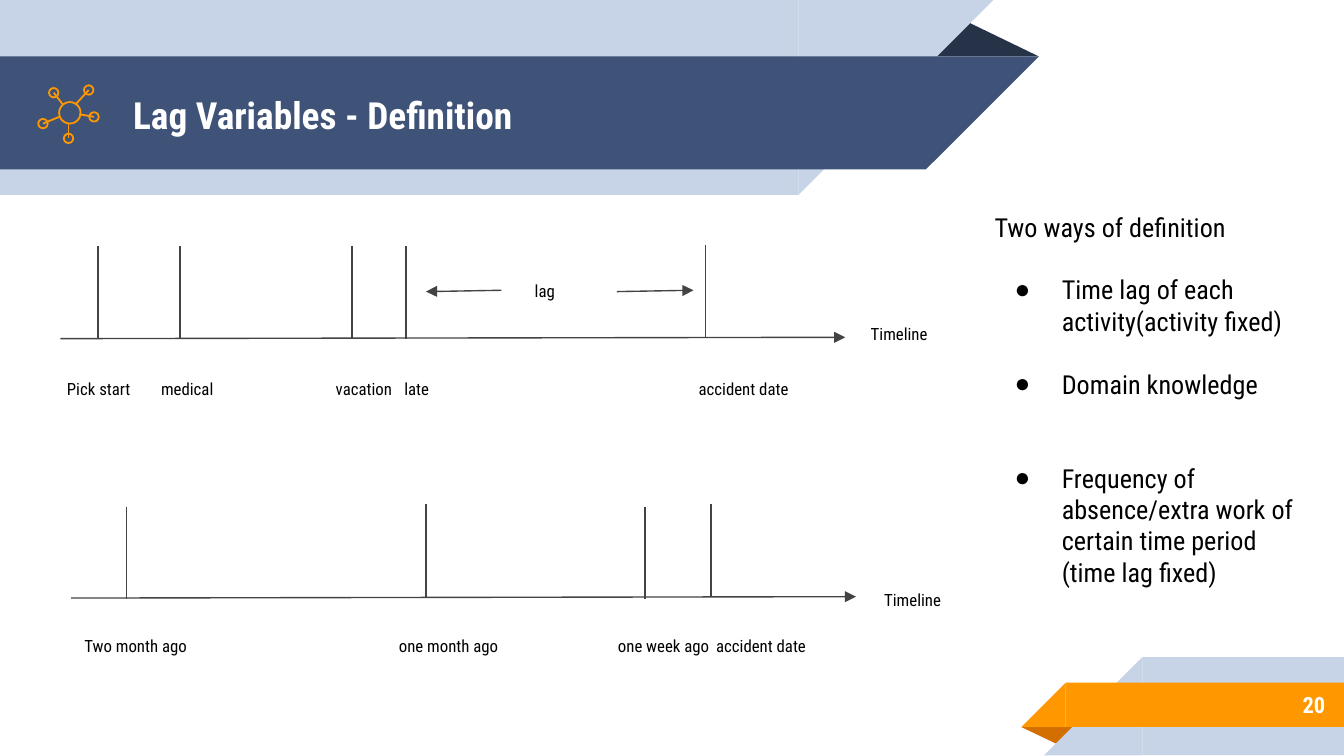
from lxml.etree import SubElement
from pptx import Presentation
from pptx.dml.color import RGBColor
from pptx.enum.shapes import MSO_CONNECTOR, MSO_SHAPE
from pptx.enum.text import MSO_ANCHOR, MSO_AUTO_SIZE, PP_ALIGN
from pptx.oxml.ns import qn
from pptx.util import Inches, Pt

FONT = "Roboto Condensed"
PALE, NAVY, DARK = "C7D3E6", "3F5378", "263248"
ORANGE, RUST = "FF9800", "D26F00"
GREY, BLACK, WHITE = "434343", "000000", "FFFFFF"
LINE = 16.8  # height of one body line in points

RECT, WEDGE, FOLD = (MSO_SHAPE.RECTANGLE, MSO_SHAPE.RIGHT_TRIANGLE,
                     MSO_SHAPE.ISOSCELES_TRIANGLE)

# Kind, box, colour, rotation, mirrored
RIBBONS = [
    (FOLD, (7.6, 5.41, 0.43, 0.14), RUST, 180, False),
    (RECT, (8.5, 4.89, 1.5, 0.73), PALE, 0, False),
    (WEDGE, (7.77, 4.89, 0.73, 0.73), PALE, 0, True),
    (RECT, (7.93, 5.08, 2.07, 0.33), ORANGE, 0, False),
    (WEDGE, (7.6, 5.08, 0.33, 0.33), ORANGE, 0, True),
    (FOLD, (6.88, 0.14, 0.85, 0.28), DARK, 0, False),
    (RECT, (0, 0, 5.94, 1.45), PALE, 0, False),
    (WEDGE, (5.94, 0, 1.45, 1.45), PALE, 180, True),
    (RECT, (0, 0.42, 6.89, 0.84), NAVY, 0, False),
    (WEDGE, (6.89, 0.42, 0.84, 0.84), NAVY, 180, True),
]

# Node centre, then the point where its spoke meets the hub
SPOKES = [
    ((0.66, 0.67), (0.56, 0.78)),
    ((0.4, 0.69), (0.47, 0.78)),
    ((0.32, 0.92), (0.44, 0.87)),
    ((0.51, 1.03), (0.51, 0.92)),
    ((0.7, 0.87), (0.59, 0.85)),
]

# Text, lines skipped above, bulleted
POINTS = [
    ("Time lag of each activity(activity fixed)", 1, True),
    ("Domain knowledge", 1, True),
    ("Frequency of absence/extra work of certain time period", 2, True),
    ("(time lag fixed)", 0, False),
]


def rgb(code):
    return RGBColor.from_string(code)


def write(para, text, size, color=BLACK, bold=False):
    run = para.add_run()
    run.text = text
    look = {"name": FONT, "size": Pt(size), "bold": bold}
    for key, value in look.items():
        setattr(run.font, key, value)
    run.font.color.rgb = rgb(color)


def set_frame(frame, anchor=MSO_ANCHOR.TOP):
    look = {"word_wrap": True, "auto_size": MSO_AUTO_SIZE.NONE,
            "vertical_anchor": anchor}
    for side in ("left", "top", "right", "bottom"):
        look["margin_" + side] = Inches(0.1)
    for key, value in look.items():
        setattr(frame, key, value)


def place(shape, box):
    for key, value in zip(("left", "top", "width", "height"), box):
        setattr(shape, key, Inches(value))


def add_text(slide, box, text, size=9, color=BLACK, bold=False,
             align=PP_ALIGN.LEFT, anchor=MSO_ANCHOR.TOP, tabs=()):
    frame = slide.shapes.add_textbox(*map(Inches, box)).text_frame
    set_frame(frame, anchor)
    para = frame.paragraphs[0]
    para.alignment = align
    if tabs:
        stops = SubElement(para._p.get_or_add_pPr(), qn("a:tabLst"))
        for pos in tabs:
            SubElement(stops, qn("a:tab"), pos=str(Inches(pos)), algn="l")
    write(para, text, size, color, bold)


def add_line(slide, start, end, color=GREY, width=0.75, arrow=False):
    line = slide.shapes.add_connector(
        MSO_CONNECTOR.STRAIGHT, *map(Inches, (*start, *end)))
    line.line.color.rgb = rgb(color)
    line.line.width = Pt(width)
    if arrow:
        SubElement(line.line._get_or_add_ln(), qn("a:tailEnd"),
                   type="triangle")
    SubElement(line._element.spPr, qn("a:effectLst"))


def add_ribbon(slide, kind, box, color, turn, flip):
    shape = slide.shapes.add_shape(kind, *map(Inches, box))
    shape.shadow.inherit = False
    shape.fill.solid()
    shape.fill.fore_color.rgb = rgb(color)
    shape.line.fill.background()
    shape.rotation = turn
    if kind == FOLD:
        shape.adjustments[0] = 0.32
    if flip:
        shape._element.spPr.find(qn("a:xfrm")).set("flipH", "1")


def add_ring(slide, center, size):
    x, y = center
    box = (x - size / 2, y - size / 2, size, size)
    ring = slide.shapes.add_shape(MSO_SHAPE.OVAL, *map(Inches, box))
    ring.shadow.inherit = False
    ring.fill.background()
    ring.line.color.rgb = rgb(ORANGE)
    ring.line.width = Pt(0.96)


def add_icon(slide):
    """Draw a hub with five nodes on spokes."""
    add_ring(slide, (0.52, 0.84), 0.16)
    for node, hub in SPOKES:
        add_ring(slide, node, 0.07)
        add_line(slide, node, hub, ORANGE, 0.96)


def add_axis(slide, left, base, ticks, name):
    """Draw a time axis; each tick is its x and its top."""
    add_line(slide, (left, base), (left + 5.84, base - 0.01), arrow=True)
    for x, top in ticks:
        add_line(slide, (x, top), (x, top + 0.69))
    add_text(slide, (*name, 0.69, 0.22), "Timeline")


def add_title(slide, text):
    title = slide.shapes.title
    place(title, (0.89, 0.43, 6.01, 0.84))
    set_frame(title.text_frame, MSO_ANCHOR.MIDDLE)
    para = title.text_frame.paragraphs[0]
    para.alignment = PP_ALIGN.LEFT
    write(para, text, 20, WHITE, True)


def add_point(para, text, skip, margin, bullet):
    props = para._p.get_or_add_pPr()
    props.set("marL", str(Inches(margin)))
    props.set("indent", str(Inches(-0.35 if bullet else 0)))
    if bullet:
        tint = SubElement(props, qn("a:buClr"))
        SubElement(tint, qn("a:srgbClr"), val=BLACK)
        SubElement(props, qn("a:buSzPct"), val="100000")
        SubElement(props, qn("a:buFont"), typeface="Arial")
        SubElement(props, qn("a:buChar"), char="●")
    else:
        SubElement(props, qn("a:buNone"))
    para.space_before = Pt(skip * LINE)
    write(para, text, 14)


def add_body(slide):
    body = slide.placeholders[1]
    place(body, (7.3, 1.47, 2.54, 3.41))
    frame = body.text_frame
    set_frame(frame)
    add_point(frame.paragraphs[0], "Two ways of definition", 0, 0, False)
    for text, skip, bullet in POINTS:
        add_point(frame.add_paragraph(), text, skip, 0.5, bullet)


def main():
    deck = Presentation()
    deck.slide_width = Inches(10)
    deck.slide_height = deck.slide_width * 9 // 16
    slide = deck.slides.add_slide(deck.slide_layouts[1])

    for ribbon in RIBBONS:
        add_ribbon(slide, *ribbon)
    # Placeholders come first in the tree, so lift them over the ribbons
    for holder in list(slide.placeholders):
        slide.shapes._spTree.append(holder._element)
    add_title(slide, "Lag Variables - Definition")
    add_text(slide, (8.33, 5.07, 1.63, 0.35), "20", 12, WHITE, True,
             PP_ALIGN.RIGHT, MSO_ANCHOR.MIDDLE)

    ticks = [(x, 1.83) for x in (0.73, 1.34, 2.62, 3.02)] + [(5.25, 1.82)]
    add_axis(slide, 0.45, 2.52, ticks, (6.38, 2.31))
    add_text(slide, (0.4, 2.72, 5.83, 0.35),
             "Pick start\tmedical\tvacation\tlate\taccident date",
             tabs=(0.7, 2, 2.51, 4.7))
    add_line(slide, (3.73, 2.16), (3.17, 2.17), arrow=True)
    add_line(slide, (4.59, 2.17), (5.16, 2.16), arrow=True)
    add_text(slide, (3.88, 1.99, 0.65, 0.22), "lag")

    ticks = [(0.94, 3.77), (3.17, 3.75), (4.8, 3.77), (5.29, 3.75)]
    add_axis(slide, 0.53, 4.45, ticks, (6.48, 4.29))
    add_text(slide, (0.53, 4.63, 5.83, 0.35),
             "Two month ago\tone month ago\tone week ago\taccident date",
             tabs=(2.34, 3.97, 4.7))

    add_body(slide)
    add_icon(slide)
    deck.save("out.pptx")


if __name__ == "__main__":
    main()
